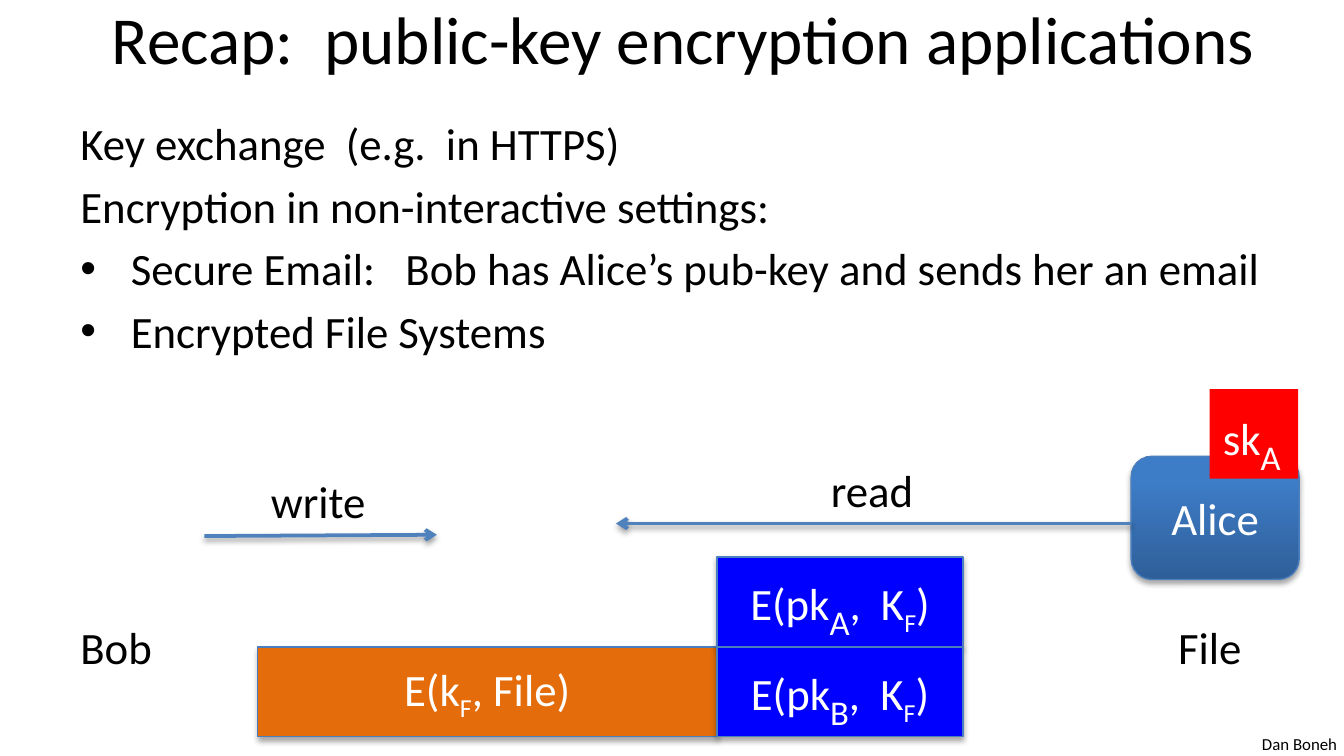
import pptx
import pptx.dml.color
import pptx.enum.shapes
import pptx.enum.text
import pptx.oxml
import pptx.oxml.ns
import pptx.util

Pt = pptx.util.Pt
SHAPES = pptx.enum.shapes.MSO_SHAPE
ALIGN = pptx.enum.text.PP_ALIGN
ANCHOR = pptx.enum.text.MSO_ANCHOR

BLACK, WHITE = "000000", "FFFFFF"
BLUE, ORANGE, RED = "0000FF", "E46C0A", "FF0000"
OUTLINE, ARROW = "4B7EBC", "4F81BD"
BLOCK_HEIGHT = 48.2
FILE_TOP = 346.6
KEY_LEFT = 384


def color(hex_string):
    return pptx.dml.color.RGBColor.from_string(hex_string)


def xml(markup):
    return pptx.oxml.parse_xml(
        markup.replace(" ", f" {pptx.oxml.ns.nsdecls('a')} ", 1))


def add_shadow(shape, opacity, distance):
    shape._element.spPr.append(xml(
        f'<a:effectLst >'
        f'<a:outerShdw blurRad="{Pt(3.1)}" dist="{Pt(distance)}" '
        f'dir="5400000" rotWithShape="0"><a:srgbClr val="000000">'
        f'<a:alpha val="{opacity * 1000}"/></a:srgbClr>'
        f'</a:outerShdw></a:effectLst>'))


def add_runs(paragraph, runs, text_color, size=24):
    """Add runs given as plain text or as (subscript text, size)."""
    for item in runs:
        text, run_size = (item, size) if isinstance(item, str) else item
        run = paragraph.add_run()
        run.text = text
        run.font.name = "Calibri"
        run.font.size = Pt(run_size)
        run.font.color.rgb = color(text_color)
        if not isinstance(item, str):
            run._r.get_or_add_rPr().set("baseline", "-25000")


def add_label(slide, box, runs, text_color=BLACK, size=24, wrap=False):
    label = slide.shapes.add_textbox(*map(Pt, box))
    label.text_frame.word_wrap = wrap
    add_runs(label.text_frame.paragraphs[0], runs, text_color, size)
    return label


def add_title(slide, text):
    title = add_label(slide, (24, -13.5, 684, 67.5), [text], size=36, wrap=True)
    title.text_frame.vertical_anchor = ANCHOR.MIDDLE
    title.text_frame.paragraphs[0].alignment = ALIGN.CENTER


def add_body(slide, lines):
    """Add lines given as (text, whether it has a bullet)."""
    body = slide.shapes.add_textbox(Pt(36), Pt(58.5), Pt(684), Pt(322.5))
    frame = body.text_frame
    frame.word_wrap = True
    for index, (text, bulleted) in enumerate(lines):
        paragraph = frame.add_paragraph() if index else frame.paragraphs[0]
        if index:
            paragraph.space_before = Pt(4.7)
        if bulleted:
            properties = paragraph._p.get_or_add_pPr()
            properties.set("marL", str(Pt(27)))
            properties.set("indent", str(-Pt(27)))
            properties.append(xml('<a:buFont typeface="Arial"/>'))
            properties.append(xml('<a:buChar char="•"/>'))
        add_runs(paragraph, [text], BLACK)


def add_block(slide, box, runs, fill=None, kind=SHAPES.RECTANGLE):
    """Add an outlined block; without a fill colour it gets the blue gradient."""
    block = slide.shapes.add_shape(kind, *map(Pt, box))
    if fill:
        block.fill.solid()
        block.fill.fore_color.rgb = color(fill)
    else:
        block.fill.gradient()
        block.fill.gradient_angle = 90
        stops = zip(block.fill.gradient_stops, (0, 0.8), ("2F5F99", "3D7CC7"))
        for stop, position, stop_color in stops:
            stop.position = position
            stop.color.rgb = color(stop_color)
    block.line.color.rgb = color(OUTLINE)
    block.line.width = Pt(0.75)
    add_shadow(block, 35, 1.8)
    frame = block.text_frame
    frame.word_wrap = True
    frame.vertical_anchor = ANCHOR.MIDDLE
    frame.paragraphs[0].alignment = ALIGN.CENTER
    add_runs(frame.paragraphs[0], runs, WHITE)


def add_arrow(slide, *ends):
    arrow = slide.shapes.add_connector(
        pptx.enum.shapes.MSO_CONNECTOR.STRAIGHT, *map(Pt, ends))
    arrow.line.color.rgb = color(ARROW)
    arrow.line.width = Pt(2)
    arrow.line._get_or_add_ln().append(xml('<a:tailEnd type="arrow"/>'))
    add_shadow(arrow, 38, 1.6)


def main():
    presentation = pptx.Presentation()
    presentation.slide_width, presentation.slide_height = Pt(720), Pt(405)
    slide = presentation.slides.add_slide(presentation.slide_layouts[6])

    add_label(slide, (669, 389.5, 54.7, 18), ["Dan Boneh"], size=9)
    add_title(slide, "Recap:  public-key encryption applications")
    add_body(slide, [
        ("Key exchange  (e.g.  in HTTPS)", False),
        ("Encryption in non-interactive settings:", False),
        ("Secure Email:   Bob has Alice’s pub-key and sends her an email", True),
        ("Encrypted File Systems", True),
    ])

    add_label(slide, (36, 328.5, 53.3, 36), ["Bob"])
    add_arrow(slide, 109.5, 287.2, 234, 286.5)
    add_label(slide, (138, 250.5, 66.2, 36), ["write"])

    add_block(slide, (138, FILE_TOP, KEY_LEFT - 138, BLOCK_HEIGHT),
              ["E(k", ("F", 24), ", File)"], ORANGE)
    for owner, top in (("A", FILE_TOP - BLOCK_HEIGHT), ("B", FILE_TOP)):
        add_block(slide, (KEY_LEFT, top, 132, BLOCK_HEIGHT),
                  ["E(pk", (owner, 32), ",  K", ("F", 24), ")"], BLUE)

    add_block(slide, (606, 244.5, 90, 66), ["Alice"],
              kind=SHAPES.ROUNDED_RECTANGLE)
    add_label(slide, (438, 244.5, 59, 36), ["read"])
    add_arrow(slide, 606, 280.5, 330, 280.5)
    add_label(slide, (624, 328.5, 49, 36), ["File"])

    # Tall enough to hold the lowered subscript above Alice's name.
    secret_key = add_label(slide, (648, 208.5, 47.5, 48), ["sk", ("A", 32)], WHITE)
    secret_key.fill.solid()
    secret_key.fill.fore_color.rgb = color(RED)

    presentation.save("out.pptx")


if __name__ == "__main__":
    main()
